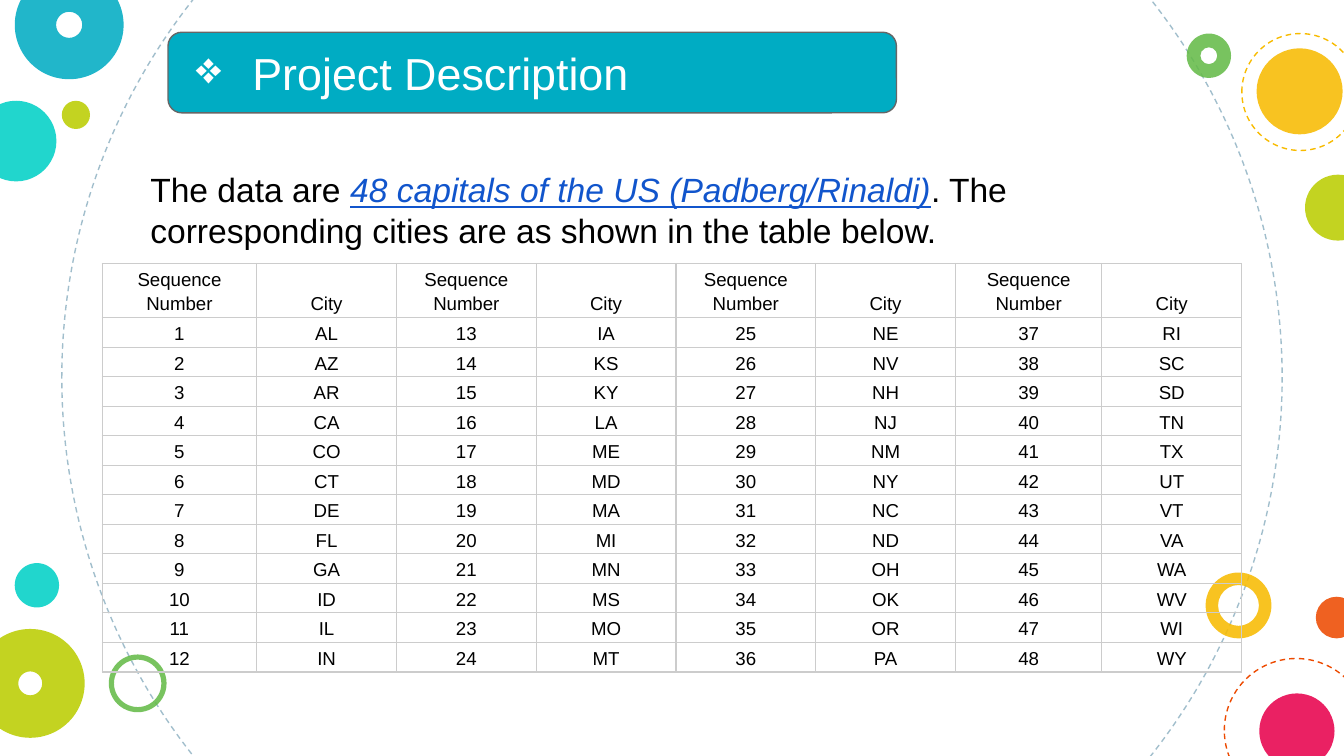
from pptx import Presentation
from pptx.dml.color import RGBColor
from pptx.enum.dml import MSO_LINE as Dash
from pptx.enum.shapes import MSO_SHAPE as Shape
from pptx.enum.text import MSO_ANCHOR as Anchor, PP_ALIGN as Align
from pptx.oxml import parse_xml
from pptx.oxml.ns import nsdecls, qn
from pptx.util import Inches, Pt

FONT = "Arial"
TEAL, CYAN, LIME, GREEN = "00ACC3", "00D1C6", "BBCD00", "65BB48"
YELLOW, ORANGE, PINK = "F8BB00", "ED4A00", "E8004C"

# left, top, diameter, colour
DASHED_RINGS = [
    (0.46, -1.73, 9.08, "A1BECC"),
    (9.11, 4.9, 1.07, ORANGE),
    (9.24, 0.25, 0.87, YELLOW),
]
DISCS = [
    (-0.18, 0.75, 0.6, CYAN),
    (0.46, 0.75, 0.21, LIME),
    (9.79, 4.44, 0.31, ORANGE),
    (9.37, 5.16, 0.56, PINK),
    (9.35, 0.36, 0.64, YELLOW),
    (9.71, 1.3, 0.49, LIME),
    (0.11, 4.19, 0.33, CYAN),
]
# left, top, diameter, colour, band thickness
DONUTS = [
    (8.97, 4.26, 0.49, YELLOW, 0.19),
    (0.11, -0.22, 0.81, TEAL, 0.38),
    (0.81, 4.87, 0.43, GREEN, 0.09),
    (-0.18, 4.68, 0.81, LIME, 0.39),
    (8.83, 0.25, 0.33, GREEN, 0.31),
]

CITIES = (
    "AL AZ AR CA CO CT DE FL GA ID IL IN "
    "IA KS KY LA ME MD MA MI MN MS MO MT "
    "NE NV NH NJ NM NY NC ND OH OK OR PA "
    "RI SC SD TN TX UT VT VA WA WV WI WY"
).split()
BLOCKS = 4
CITIES_PER_BLOCK = len(CITIES) // BLOCKS
COLUMN_WIDTHS = [1.15, 1.04, 1.04, 1.04, 1.04, 1.04, 1.09, 1.04]
HEADER_HEIGHT, ROW_HEIGHT = 0.39, 0.22


def rgb(color):
    return RGBColor.from_string(color)


def set_font(font, size, color):
    font.name, font.size, font.color.rgb = FONT, Pt(size), rgb(color)


def set_insets(target, across, top, bottom):
    target.margin_left = target.margin_right = Inches(across)
    target.margin_top, target.margin_bottom = Inches(top), Inches(bottom)


def add_round(page, kind, left, top, size):
    shape = page.shapes.add_shape(kind, *map(Inches, (left, top, size, size)))
    shape.shadow.inherit = False
    return shape


def fill_translucent(shape, color):
    shape.line.fill.background()
    shape.fill.solid()
    shape.fill.fore_color.rgb = rgb(color)
    color_node = shape._element.spPr.find(qn("a:solidFill"))[0]
    color_node.append(parse_xml(f'<a:alpha {nsdecls("a")} val="87000"/>'))


def add_bubbles(page):
    for left, top, size, color in DASHED_RINGS:
        ring = add_round(page, Shape.OVAL, left, top, size)
        ring.fill.background()
        ring.line.color.rgb = rgb(color)
        ring.line.width = Pt(0.75)
        ring.line.dash_style = Dash.DASH
    for left, top, size, color in DISCS:
        fill_translucent(add_round(page, Shape.OVAL, left, top, size), color)
    for left, top, size, color, band in DONUTS:
        donut = add_round(page, Shape.DONUT, left, top, size)
        donut.adjustments[0] = band
        fill_translucent(donut, color)


def add_title_banner(page, left, top, width, height):
    banner = page.shapes.add_shape(
        Shape.ROUNDED_RECTANGLE, *map(Inches, (left, top, width, height)))
    banner.shadow.inherit = False
    banner.adjustments[0] = 0.17
    banner.fill.solid()
    banner.fill.fore_color.rgb = rgb(TEAL)
    banner.line.color.rgb = rgb("666666")
    banner.line.width = Pt(0.75)
    frame = banner.text_frame
    frame.vertical_anchor = Anchor.MIDDLE
    set_insets(frame, 0.1, 0.1, 0.1)
    para = frame.paragraphs[0]
    para.text = "Project Description"
    para.alignment = Align.LEFT
    set_font(para.font, 24, "FFFFFF")
    properties = para._p.get_or_add_pPr()
    properties.set("marL", str(Inches(0.5)))
    properties.set("indent", str(Inches(-0.42)))
    bullet_parts = (
        f'<a:buClr {nsdecls("a")}><a:srgbClr val="FFFFFF"/></a:buClr>',
        f'<a:buSzPts {nsdecls("a")} val="2400"/>',
        f'<a:buChar {nsdecls("a")} char="❖"/>',
    )
    for position, part in enumerate(bullet_parts):
        properties.insert(position, parse_xml(part))


def add_description(page, left, top, width, height):
    box = page.shapes.add_textbox(*map(Inches, (left, top, width, height)))
    frame = box.text_frame
    frame.word_wrap = True
    set_insets(frame, 0.1, 0.1, 0.1)
    para = frame.paragraphs[0]
    set_font(para.font, 18, "000000")
    para.add_run().text = "The data are "
    source = para.add_run()
    source.text = "48 capitals of the US (Padberg/Rinaldi)"
    source.font.italic = source.font.underline = True
    source.font.color.rgb = rgb("1155CC")
    para.add_run().text = (
        ". The corresponding cities are as shown in the table below.")


def add_borders(cell):
    properties = cell._tc.get_or_add_tcPr()
    for position, side in enumerate(("lnL", "lnR", "lnT", "lnB")):
        properties.insert(position, parse_xml(
            f'<a:{side} {nsdecls("a")} w="{Pt(0.75)}"><a:solidFill>'
            f'<a:srgbClr val="CCCCCC"/></a:solidFill></a:{side}>'))


def fill_cell(cell, text):
    cell.fill.background()
    cell.vertical_anchor = Anchor.BOTTOM
    set_insets(cell, 0.03, 0, 0.02)
    para = cell.text_frame.paragraphs[0]
    para.text = text
    para.alignment = Align.CENTER
    para.line_spacing = 1.15
    set_font(para.font, 10, "000000")
    add_borders(cell)


def add_city_table(page, left, top):
    height = HEADER_HEIGHT + CITIES_PER_BLOCK * ROW_HEIGHT
    table = page.shapes.add_table(
        CITIES_PER_BLOCK + 1, 2 * BLOCKS,
        *map(Inches, (left, top, sum(COLUMN_WIDTHS), height))).table
    table.first_row = table.horz_banding = False
    for column, width in zip(table.columns, COLUMN_WIDTHS):
        column.width = Inches(width)
    for index, row in enumerate(table.rows):
        row.height = Inches(ROW_HEIGHT if index else HEADER_HEIGHT)
    for block in range(BLOCKS):
        first = block * CITIES_PER_BLOCK
        entries = [("Sequence Number", "City")]
        entries += [(str(number + 1), CITIES[number])
                    for number in range(first, first + CITIES_PER_BLOCK)]
        for row, (number, city) in enumerate(entries):
            fill_cell(table.cell(row, 2 * block), number)
            fill_cell(table.cell(row, 2 * block + 1), city)
        if block:
            header = table.cell(0, 2 * block)
            header.fill.solid()
            header.fill.fore_color.rgb = rgb("FFFFFF")


def main():
    deck = Presentation()
    deck.slide_width = Inches(10)
    deck.slide_height = deck.slide_width * 9 // 16
    page = deck.slides.add_slide(deck.slide_layouts[6])
    add_bubbles(page)
    add_title_banner(page, 1.25, 0.24, 5.42, 0.6)
    add_description(page, 1.02, 1.16, 7.78, 3.54)
    add_city_table(page, 0.76, 1.96)
    deck.save("out.pptx")


if __name__ == "__main__":
    main()
